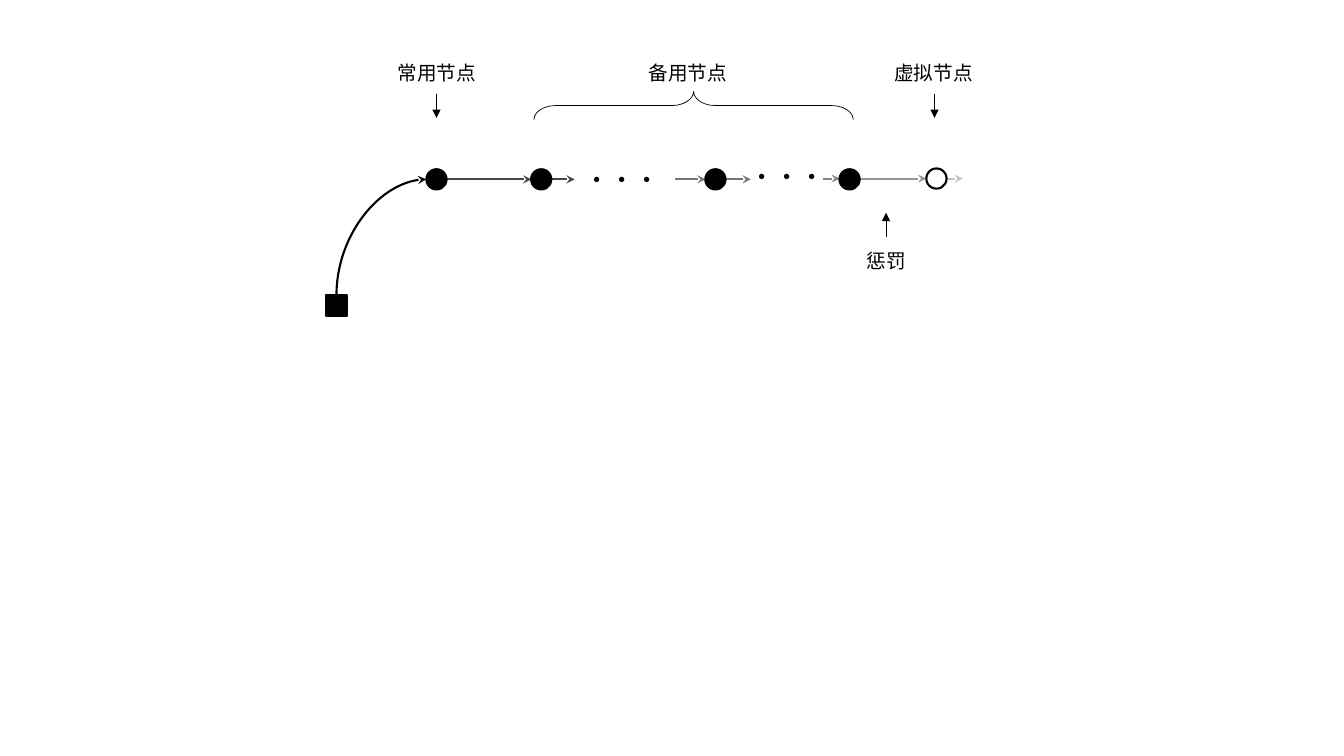
from lxml.etree import SubElement
from pptx import Presentation
from pptx.dml.color import RGBColor
from pptx.enum.shapes import MSO_CONNECTOR, MSO_SHAPE
from pptx.enum.text import MSO_AUTO_SIZE, PP_ALIGN
from pptx.oxml.ns import qn
from pptx.util import Cm, Pt

COLORS = {
    "black": "000000",
    "dark": "454545",
    "medium": "767676",
    "gray": "858585",
    "light": "949494",
    "pale": "C2C2C2",
}
AXIS = 4.52
NODE = 0.51


class Diagram:
    font = "Noto Sans CJK SC"

    def __init__(self, slide):
        self.slide = slide

    def color(self, name):
        return RGBColor.from_string(COLORS[name])

    def shape(self, kind, cx, cy, w, h, filled=True, weight=1.5):
        sp = self.slide.shapes.add_shape(
            kind, Cm(cx - w / 2), Cm(cy - h / 2), Cm(w), Cm(h))
        sp.shadow.inherit = False
        if filled:
            sp.fill.solid()
            sp.fill.fore_color.rgb = self.color("black")
        else:
            sp.fill.background()
        sp.line.color.rgb = self.color("black")
        sp.line.width = Pt(weight)
        return sp

    def node(self, cx, cy=AXIS, filled=True):
        self.shape(MSO_SHAPE.FLOWCHART_CONNECTOR, cx, cy, NODE, NODE, filled)

    def arrow(self, x1, y1, x2, y2, color="black", weight=1.5, head="stealth",
              kind=MSO_CONNECTOR.STRAIGHT):
        cn = self.slide.shapes.add_connector(kind, Cm(x1), Cm(y1), Cm(x2), Cm(y2))
        cn.line.color.rgb = self.color(color)
        cn.line.width = Pt(weight)
        SubElement(cn.line._get_or_add_ln(), qn("a:tailEnd"), type=head)
        SubElement(cn._element.spPr, qn("a:effectLst"))
        return cn

    def curve(self, x1, y1, x2, y2):
        cx, cy = (x1 + x2) / 2, (y1 + y2) / 2
        dx, dy = (y1 - y2) / 2, (x2 - x1) / 2
        cn = self.arrow(cx + dx, cy + dy, cx - dx, cy - dy, kind=MSO_CONNECTOR.CURVE)
        spPr = cn._element.spPr
        spPr.find(qn("a:xfrm")).set("rot", "5400000")
        spPr.find(qn("a:prstGeom")).set("prst", "curvedConnector2")

    def text(self, text, x, y, w, h, size, align):
        tf = self.slide.shapes.add_textbox(Cm(x), Cm(y), Cm(w), Cm(h)).text_frame
        tf.word_wrap = True
        tf.auto_size = MSO_AUTO_SIZE.SHAPE_TO_FIT_TEXT
        p = tf.paragraphs[0]
        p.text = text
        p.alignment = align
        p.font.size = Pt(size)
        p.font.color.rgb = self.color("black")
        p.font.name = self.font
        for r in p.runs:
            rPr = r._r.get_or_add_rPr()
            SubElement(rPr, qn("a:latin"), typeface=self.font)
            SubElement(rPr, qn("a:ea"), typeface=self.font)

    def label(self, text, cx, y, w=4.7):
        self.text(text, cx - w / 2, y, w, 0.86, 14, PP_ALIGN.CENTER)

    def dots(self, x, y):
        self.text("···", x, y, 2.54, 1.02, 18, PP_ALIGN.LEFT)

    def pointer(self, x, y1, y2):
        self.arrow(x, y1, x, y2, weight=0.5, head="triangle")

    def brace(self, cx, cy, span, depth):
        sp = self.shape(MSO_SHAPE.RIGHT_BRACE, cx, cy, depth, span, False, 0.5)
        sp.rotation = 270
        sp.adjustments[0] = 0.77


def main():
    prs = Presentation()
    prs.slide_width, prs.slide_height = Cm(33.87), Cm(19.05)
    d = Diagram(prs.slides.add_slide(prs.slide_layouts[6]))

    for x1, x2, y, color in [
        (11.23, 13.39, AXIS, "dark"),
        (13.87, 14.48, AXIS, "dark"),
        (17.02, 17.78, AXIS, "medium"),
        (18.29, 18.92, AXIS, "medium"),
        (20.75, 21.16, 4.5, "gray"),
        (21.36, 23.34, 4.5, "light"),
        (23.85, 24.26, 4.5, "pale"),
    ]:
        d.arrow(x1, y, x2, y, color)

    for cx in (11, 13.64, 18.03, 21.41):
        d.node(cx)
    d.node(23.6, 4.5, filled=False)
    d.shape(MSO_SHAPE.FLOWCHART_PROCESS, 8.48, 7.7, NODE, NODE)
    d.curve(8.48, 7.44, 10.74, AXIS)

    d.dots(14.48, 4.01)
    d.dots(18.64, 3.94)

    d.brace(17.48, 2.66, 8.05, 0.71)
    for text, cx, y in [
        ("常用节点", 11.01, 1.42),
        ("备用节点", 17.34, 1.42),
        ("虚拟节点", 23.53, 1.42),
        ("惩罚", 22.34, 6.15),
    ]:
        d.label(text, cx, y)
    for x, y1, y2 in [(11, 2.36, 2.97), (23.55, 2.36, 2.97), (22.33, 5.97, 5.36)]:
        d.pointer(x, y1, y2)

    prs.save("out.pptx")


if __name__ == "__main__":
    main()
